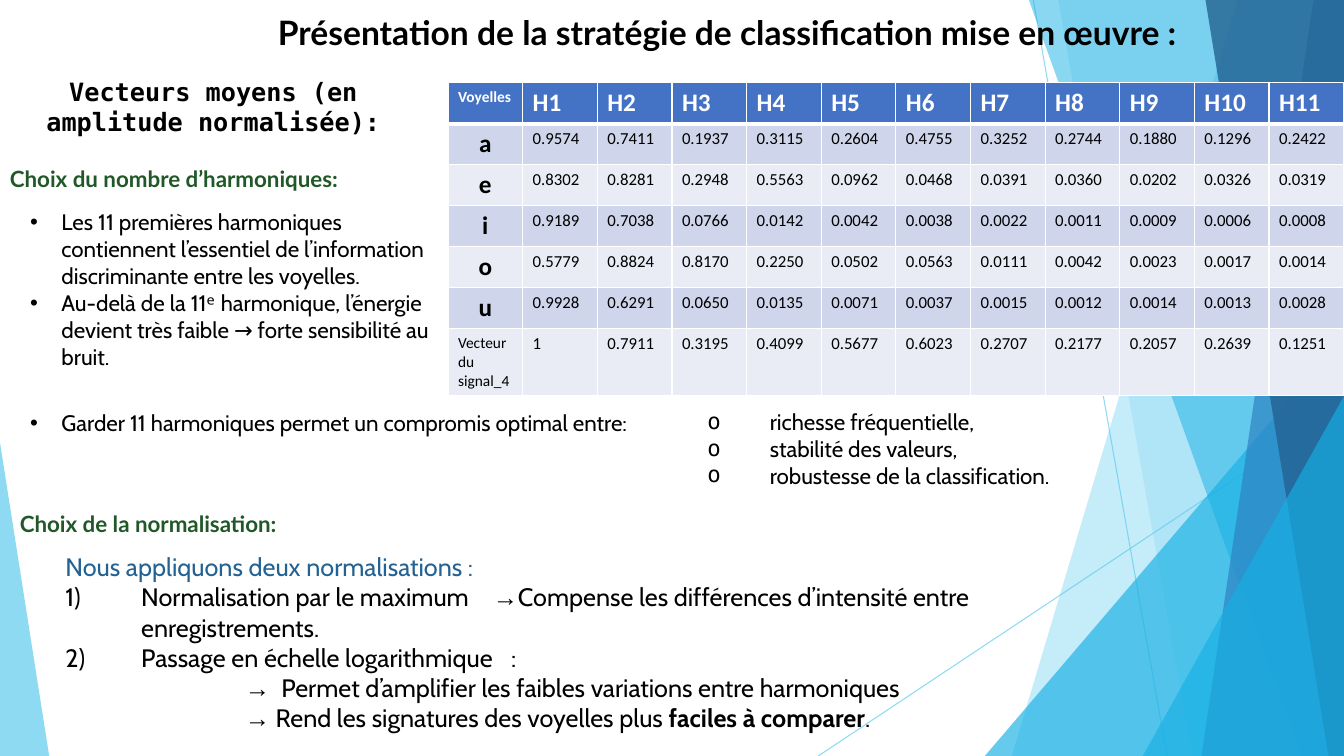
import pptx
import pptx.dml.color
import pptx.enum.shapes
import pptx.enum.text
import pptx.oxml
import pptx.oxml.ns
import pptx.util

Cm = pptx.util.Cm
Pt = pptx.util.Pt
CENTER = pptx.enum.text.PP_ALIGN.CENTER
LEFT = pptx.enum.text.PP_ALIGN.LEFT
WIDTH, HEIGHT = 33.87, 19.05

TITLE = {"name": "Lato", "size": Pt(24), "bold": True, "color": "000000"}
CAPTION = {"name": "DejaVu Sans Mono", "size": Pt(18), "bold": True, "color": "000000"}
HEADING = {"name": "Lato", "size": Pt(16), "bold": True, "color": "215828"}
BODY = {"name": "Cabin", "size": Pt(16), "bold": False, "color": "000000"}
LARGE = {**BODY, "size": Pt(18)}
INTRO = {**LARGE, "color": "236292"}
ARROW = {**LARGE, "name": "Arial", "bold": True}
CELL = {"name": "Calibri", "size": Pt(12), "bold": False, "color": "000000"}
CELL_LARGE = {**CELL, "size": Pt(18), "bold": True}
CELL_SMALL = {**CELL, "size": Pt(11)}

DOT = '<a:buChar {} char="•"/>'
CIRCLE = '<a:buChar {} char="o"/>'
NUMBER = '<a:buAutoNum {} type="arabicParenR"/>'

HARMONICS = {
    "a": "0.9574 0.7411 0.1937 0.3115 0.2604 0.4755 0.3252 0.2744 0.1880 0.1296 0.2422",
    "e": "0.8302 0.8281 0.2948 0.5563 0.0962 0.0468 0.0391 0.0360 0.0202 0.0326 0.0319",
    "i": "0.9189 0.7038 0.0766 0.0142 0.0042 0.0038 0.0022 0.0011 0.0009 0.0006 0.0008",
    "o": "0.5779 0.8824 0.8170 0.2250 0.0502 0.0563 0.0111 0.0042 0.0023 0.0017 0.0014",
    "u": "0.9928 0.6291 0.0650 0.0135 0.0071 0.0037 0.0015 0.0012 0.0014 0.0013 0.0028",
    "Vecteur du signal_4":
        "1 0.7911 0.3195 0.4099 0.5677 0.6023 0.2707 0.2177 0.2057 0.2639 0.1251",
}


def color(hex_value):
    return pptx.dml.color.RGBColor.from_string(hex_value)


def xml(template):
    return pptx.oxml.parse_xml(template.format(pptx.oxml.ns.nsdecls("a")))


def set_attributes(target, formats):
    for name, value in formats.items():
        setattr(target, name, value)


def set_alpha(shape, percent):
    for color_element in shape._element.spPr.iter(pptx.oxml.ns.qn("a:srgbClr")):
        color_element.append(xml(f'<a:alpha {{}} val="{percent * 1000}"/>'))


def add_run(paragraph, text, style, gap=0):
    """Add a run; gap is extra letter spacing in points."""
    run = paragraph.add_run()
    run.text = text
    set_attributes(run.font, {key: value for key, value in style.items() if key != "color"})
    run.font.color.rgb = color(style["color"])
    if gap:
        run._r.get_or_add_rPr().set("spc", str(gap * 100))


def set_indent(paragraph, left, hanging=0, bullet=None):
    properties = paragraph._p.get_or_add_pPr()
    properties.set("marL", str(Cm(left)))
    properties.set("indent", str(-Cm(hanging)))
    if bullet:
        font = "DejaVu Sans Mono" if bullet == CIRCLE else "Arial"
        properties.append(xml(f'<a:buFont {{}} typeface="{font}"/>'))
        properties.append(xml(bullet))


def place(shape, box):
    names = ("left", "top", "width", "height")
    set_attributes(shape, {name: Cm(value) for name, value in zip(names, box)})
    set_attributes(shape.text_frame, {
        "word_wrap": True,
        "auto_size": pptx.enum.text.MSO_AUTO_SIZE.NONE,
        "vertical_anchor": pptx.enum.text.MSO_ANCHOR.TOP,
    })


def add_text(slide, box, paragraphs, alignment=LEFT):
    """Each paragraph is a pair: its runs and its indent arguments."""
    shape = slide.shapes.add_textbox(0, 0, 0, 0)
    place(shape, box)
    frame = shape.text_frame
    for index, (runs, indent) in enumerate(paragraphs):
        paragraph = frame.add_paragraph() if index else frame.paragraphs[0]
        paragraph.alignment = alignment
        set_indent(paragraph, *indent)
        for run in runs:
            add_run(paragraph, *run)


def add_list(slide, box, lines, indent):
    add_text(slide, box, [([(line, BODY)], indent) for line in lines])


def add_heading(slide, box, text, style=HEADING, alignment=LEFT):
    add_text(slide, box, [([(text, style)], (0,))], alignment)


def add_title(slide, box, text):
    title = slide.shapes.title
    place(title, box)
    paragraph = title.text_frame.paragraphs[0]
    paragraph.alignment = CENTER
    add_run(paragraph, text, TITLE)
    # The title stands in front of the facets
    slide.shapes._spTree.append(title._element)


def add_facets(slide, right, bottom):
    """Translucent facets along the slide edges."""
    for start, end in (((26.04, 0), (29.41, bottom)), ((right, 10.24), (20.62, bottom))):
        line = slide.shapes.add_connector(
            pptx.enum.shapes.MSO_CONNECTOR.STRAIGHT, *map(Cm, start + end))
        line.line.color.rgb = color("5FCBEF")
        line.line.width = Pt(0.75)
        line._element.spPr.append(xml("<a:effectLst {}/>"))
        set_alpha(line, 70)

    def band(top_x, bottom_x):
        return [(top_x, 0), (right, 0), (right, bottom), (bottom_x, bottom)]

    def corner(bottom_x, top_y):
        return [(bottom_x, bottom), (right, top_y), (right, bottom)]

    facets = [
        (band(31.19, 25.5), "5FCBEF", 36),
        (band(26.67, 30.05), "5FCBEF", 20),
        (corner(24.82, 8.46), "17B0E4", 66),
        (band(25.93, 32.79), "17B0E4", 50),
        (band(33.1, 30.28), "2E83C3", 70),
        (band(30.38, 33.48), "236292", 80),
        (corner(28.8, 9.98), "17B0E4", 66),
        ([(0, bottom), (0, 11.15), (1.24, bottom)], "5FCBEF", 70),
    ]
    for points, fill, alpha in facets:
        points = [(Cm(x), Cm(y)) for x, y in points]
        builder = slide.shapes.build_freeform(*points[0])
        builder.add_line_segments(points[1:], close=True)
        facet = builder.convert_to_shape()
        facet.shadow.inherit = False
        facet.fill.solid()
        facet.fill.fore_color.rgb = color(fill)
        facet.line.fill.background()
        set_alpha(facet, alpha)


def fill_cell(cell, text, style, fill, alignment, bottom_width):
    paragraph = cell.text_frame.paragraphs[0]
    paragraph.alignment = alignment
    add_run(paragraph, text, style)
    properties = cell._tc.get_or_add_tcPr()
    for side, width in (("L", 1), ("R", 1), ("T", 1), ("B", bottom_width)):
        properties.append(xml(
            f'<a:ln{side} {{}} w="{Pt(width)}"><a:solidFill>'
            f'<a:srgbClr val="FFFFFF"/></a:solidFill></a:ln{side}>'))
    cell.fill.solid()
    cell.fill.fore_color.rgb = color(fill)


def add_harmonics_table(slide, box):
    header = ["Voyelles"] + [f"H{number}" for number in range(1, 12)]
    rows = [header] + [[label, *values.split()] for label, values in HARMONICS.items()]
    table = slide.shapes.add_table(len(rows), len(header), *map(Cm, box)).table
    for column in table.columns:
        column.width = Cm(box[2] / len(header))
    for row, height in zip(table.rows, [1.04] + [1.02] * 5 + [1.66]):
        row.height = Cm(height)
    for row_index, row in enumerate(rows):
        for column_index, text in enumerate(row):
            style, alignment, bottom_width = CELL, LEFT, 1
            fill = "CFD5EA" if row_index % 2 else "E9EBF5"
            if row_index == 0:
                size = CELL_LARGE["size"] if column_index else CELL_SMALL["size"]
                style = {**CELL_LARGE, "size": size, "color": "FFFFFF"}
                fill, bottom_width = "4472C4", 3
            elif column_index == 0 and len(text) == 1:
                style, alignment = CELL_LARGE, CENTER
            elif column_index == 0:
                style = CELL_SMALL
            fill_cell(table.cell(row_index, column_index), text, style, fill,
                      alignment, bottom_width)


def add_normalisation(slide, box):
    numbered, nested = (1.91, 1.91, NUMBER), (4.52,)
    add_text(slide, box, [
        ([("Nous appliquons deux normalisations :", INTRO)], (0,)),
        ([("Normalisation par le maximum", LARGE), (" ", LARGE, 13), ("→", ARROW),
          ("Compense les différences d’intensité entre enregistrements.", LARGE)], numbered),
        ([("Passage en échelle logarithmique", LARGE), (" ", LARGE, 9), (":", LARGE)], numbered),
        ([("→", ARROW), (" ", LARGE, 4),
          ("Permet d’amplifier les faibles variations entre harmoniques", LARGE)], nested),
        ([("→", ARROW), (" Rend les signatures des voyelles plus ", LARGE),
          ("faciles à comparer", {**LARGE, "bold": True}), (".", LARGE)], nested),
    ])


def main():
    presentation = pptx.Presentation()
    set_attributes(presentation, {"slide_width": Cm(WIDTH), "slide_height": Cm(HEIGHT)})
    slide = presentation.slides.add_slide(presentation.slide_layouts[5])

    # Background, title and table
    add_facets(slide, WIDTH, HEIGHT)
    add_title(slide, (4.24, 0.18, 28.17, 2.06),
              "Présentation de la stratégie de classification mise en œuvre :")
    add_heading(slide, (0.51, 1.8, 9.73, 1.8),
                "Vecteurs moyens (en amplitude normalisée):", CAPTION, CENTER)
    add_harmonics_table(slide, (11.29, 2.08, 22.58, 7.8))

    # Number of harmonics
    add_heading(slide, (0, 4.04, 10.8, 0.94), "Choix du nombre d’harmoniques:")
    add_list(slide, (0.51, 5.13, 10.8, 5.05), [
        "Les 11 premières harmoniques contiennent l’essentiel de l’information "
        "discriminante entre les voyelles.",
        "Au-delà de la 11ᵉ harmonique, l’énergie devient très faible → forte "
        "sensibilité au bruit.",
    ], (0.79, 0.79, DOT))
    add_list(slide, (0.51, 10.19, 17.09, 1.7),
             ["Garder 11 harmoniques permet un compromis optimal entre:"], (0.79, 0.79, DOT))
    add_list(slide, (17.58, 10.16, 14.76, 3.07), [
        "richesse fréquentielle,", "stabilité des valeurs,", "robustesse de la classification.",
    ], (1.57, 1.57, CIRCLE))

    # Normalisation
    add_heading(slide, (0.25, 12.73, 10.21, 1.7), "Choix de la normalisation:")
    add_normalisation(slide, (1.4, 13.77, 27.15, 4.88))
    presentation.save("out.pptx")


if __name__ == "__main__":
    main()
